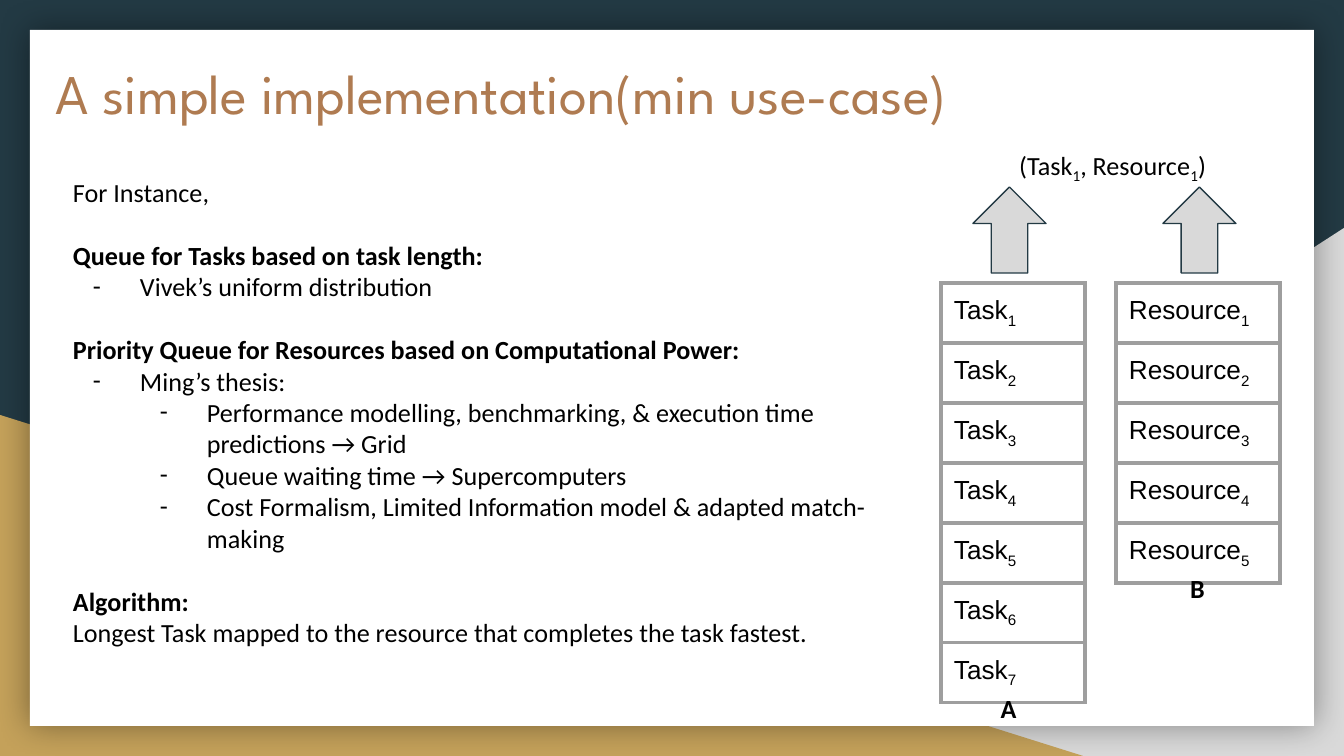
from lxml.etree import SubElement
from pptx import Presentation
from pptx.dml.color import RGBColor as RGB
from pptx.enum.shapes import MSO_SHAPE as Kind
from pptx.enum.text import PP_ALIGN as Align
from pptx.oxml.ns import qn
from pptx.util import Pt

PX = 914400 / 134.4
NAVY = RGB(0x23, 0x3A, 0x44)
GOLD = RGB(0xC4, 0xA1, 0x5A)
BROWN = RGB(0xAF, 0x7B, 0x51)
GRAY = RGB(0xD9, 0xD9, 0xD9)
WHITE = RGB(0xFF, 0xFF, 0xFF)
BLACK = RGB(0, 0, 0)
BORDER = "9E9E9E"
INSET = 13


def px(*vals):
    return [round(v * PX) for v in vals]


def write(para, text, face="Calibri", size=14, color=BLACK, bold=False):
    """Fill a paragraph; every second part between bars is a subscript."""
    for i, part in enumerate(text.split("|")):
        run = para.add_run()
        run.text = part
        if i % 2:
            run.font._element.set("baseline", "-25000")
    font = para.font
    font.name, font.size, font.bold = face, Pt(size), bold
    font.color.rgb = color


prs = Presentation()
prs.slide_width, prs.slide_height = px(1344, 756)
slide = prs.slides.add_slide(prs.slide_layouts[6])
slide.background.fill.solid()
slide.background.fill.fore_color.rgb = NAVY
shapes = slide.shapes

# Backdrop, card and arrows
for kind, box, color in [
    (Kind.RIGHT_TRIANGLE, (527, 228, 817, 528), GRAY),
    (Kind.RIGHT_TRIANGLE, (0, 415, 1083, 341), GOLD),
    (Kind.RECTANGLE, (30, 30, 1284, 696), WHITE),
    (Kind.UP_ARROW, (973, 187, 73, 86), GRAY),
    (Kind.UP_ARROW, (1163, 187, 73, 86), GRAY),
]:
    shape = shapes.add_shape(kind, *px(*box))
    shape.shadow.inherit = False
    shape.fill.solid()
    shape.fill.fore_color.rgb = color
    if kind == Kind.UP_ARROW:
        shape.line.color.rgb = NAVY
        shape.line.width = Pt(0.75)
    else:
        shape.line.fill.background()
    if kind == Kind.RIGHT_TRIANGLE and color == GRAY:
        shape._element.spPr.xfrm.set("flipH", "1")
    if kind == Kind.RECTANGLE:
        glow = SubElement(shape._element.spPr.find(qn("a:effectLst")),
                          qn("a:outerShdw"), blurRad=str(Pt(18)),
                          dist="0", dir="0", algn="ctr", rotWithShape="0")
        tint = SubElement(glow, qn("a:srgbClr"), val="000000")
        SubElement(tint, qn("a:alpha"), val="40000")

# Queues
for name, count, left, width in [("Resource", 5, 1116, 164),
                                 ("Task", 7, 941, 144)]:
    table = shapes.add_table(count, 1, *px(left, 283, width, 60 * count)).table
    table.first_row = table.horz_banding = False
    for i in range(count):
        cell = table.cell(i, 0)
        cell.margin_left, cell.margin_right = px(INSET, INSET)
        cell.margin_top, cell.margin_bottom = px(INSET, INSET)
        write(cell.text_frame.paragraphs[0], f"{name}|{i + 1}", "Arial")
        props = cell._tc.get_or_add_tcPr()
        for side in "LRTB":
            edge = SubElement(props, qn(f"a:ln{side}"), w=str(Pt(2.25)))
            fill = SubElement(edge, qn("a:solidFill"))
            SubElement(fill, qn("a:srgbClr"), val=BORDER)
        cell.fill.background()

# Text: each line is (text, level, bold, gap before in points)
title = "A simple implementation(min use-case)"
body = [
    ("For Instance,", 0, False, 0),
    ("Queue for Tasks based on task length:", 0, True, 17),
    ("Vivek’s uniform distribution", 1, False, 0),
    ("Priority Queue for Resources based on Computational Power:", 0, True, 17),
    ("Ming’s thesis:", 1, False, 0),
    ("Performance modelling, benchmarking, & execution time predictions → Grid",
     2, False, 0),
    ("Queue waiting time → Supercomputers", 2, False, 0),
    ("Cost Formalism, Limited Information model & adapted match-making",
     2, False, 0),
    ("Algorithm:", 0, True, 17),
    ("Longest Task mapped to the resource that completes the task fastest.",
     0, False, 0),
]
for box, lines, align, style in [
    ((42, 46, 1031, 140), [(title, 0, False, 0)], Align.LEFT,
     ("League Spartan", 30, BROWN)),
    ((979, 679, 59, 28), [("A", 0, True, 0)], Align.CENTER, ()),
    ((1168, 559, 59, 28), [("B", 0, True, 0)], Align.CENTER, ()),
    ((923, 136, 379, 63), [("(Task|1|, Resource|1|)", 0, False, 0)],
     Align.CENTER, ()),
    ((60, 163, 863, 415), body, Align.LEFT, ()),
]:
    frame = shapes.add_textbox(*px(*box)).text_frame
    frame.word_wrap = True
    frame.margin_left, frame.margin_right = px(INSET, INSET)
    frame.margin_top, frame.margin_bottom = px(INSET, INSET)
    for i, (text, level, bold, gap) in enumerate(lines):
        para = frame.add_paragraph() if i else frame.paragraphs[0]
        para.alignment = align
        if level:
            para.level = level - 1
            props = para._p.get_or_add_pPr()
            left, hang = px(67 * level, -47)
            props.set("marL", str(left))
            props.set("indent", str(hang))
            SubElement(props, qn("a:buFont"), typeface="Calibri")
            SubElement(props, qn("a:buChar"), char="-")
        para.space_before = Pt(gap)
        write(para, text, *style, bold=bold)

prs.save("out.pptx")
